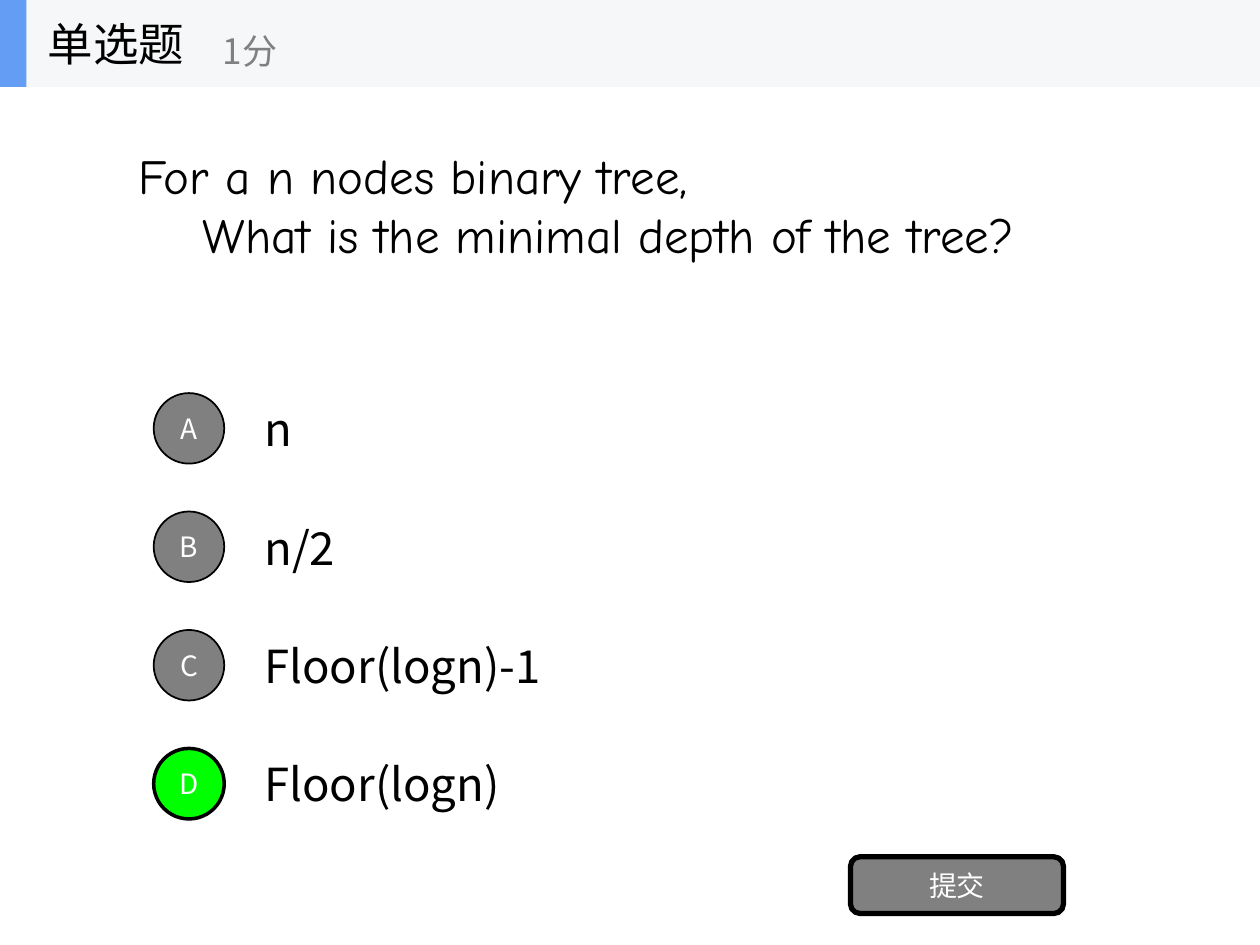
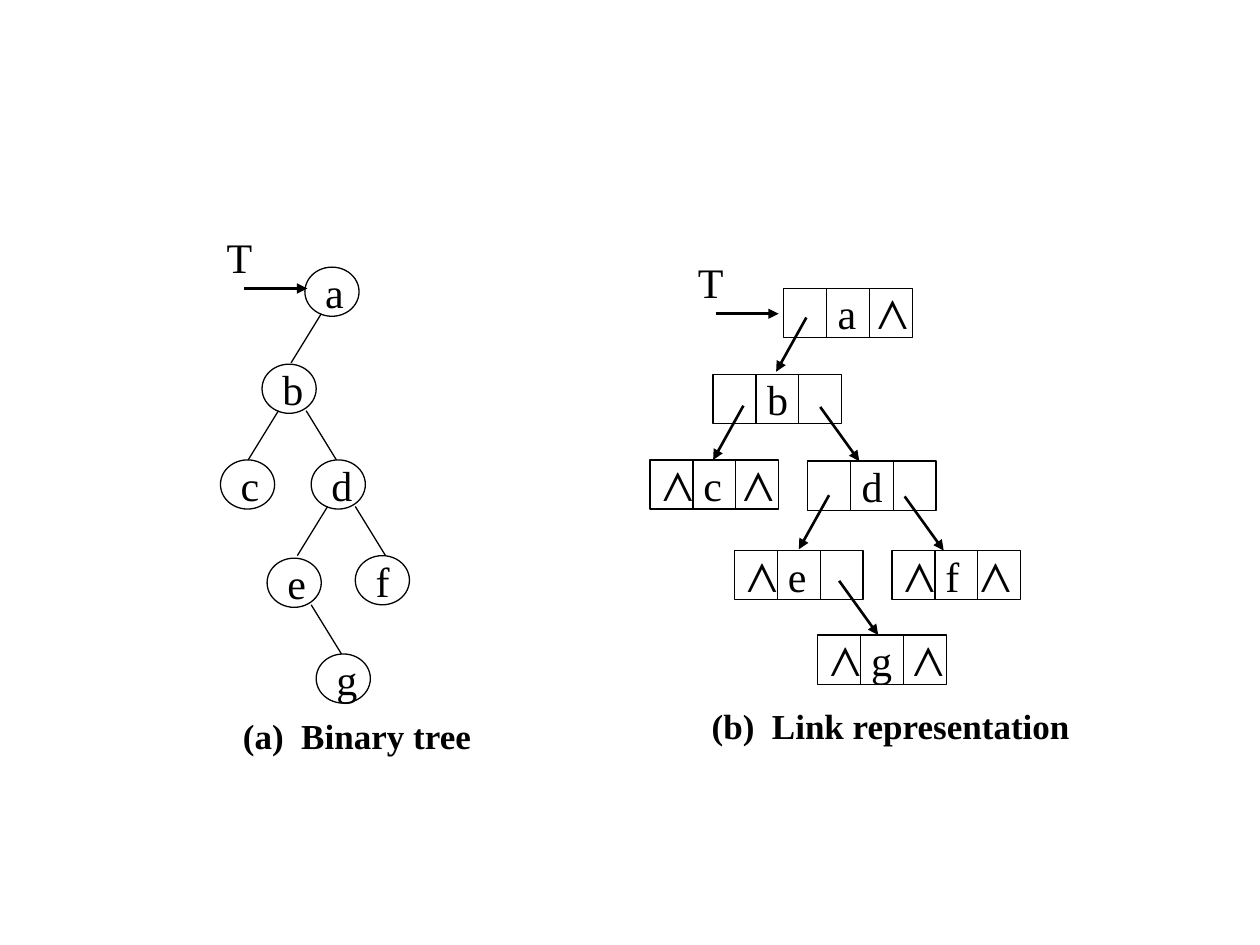
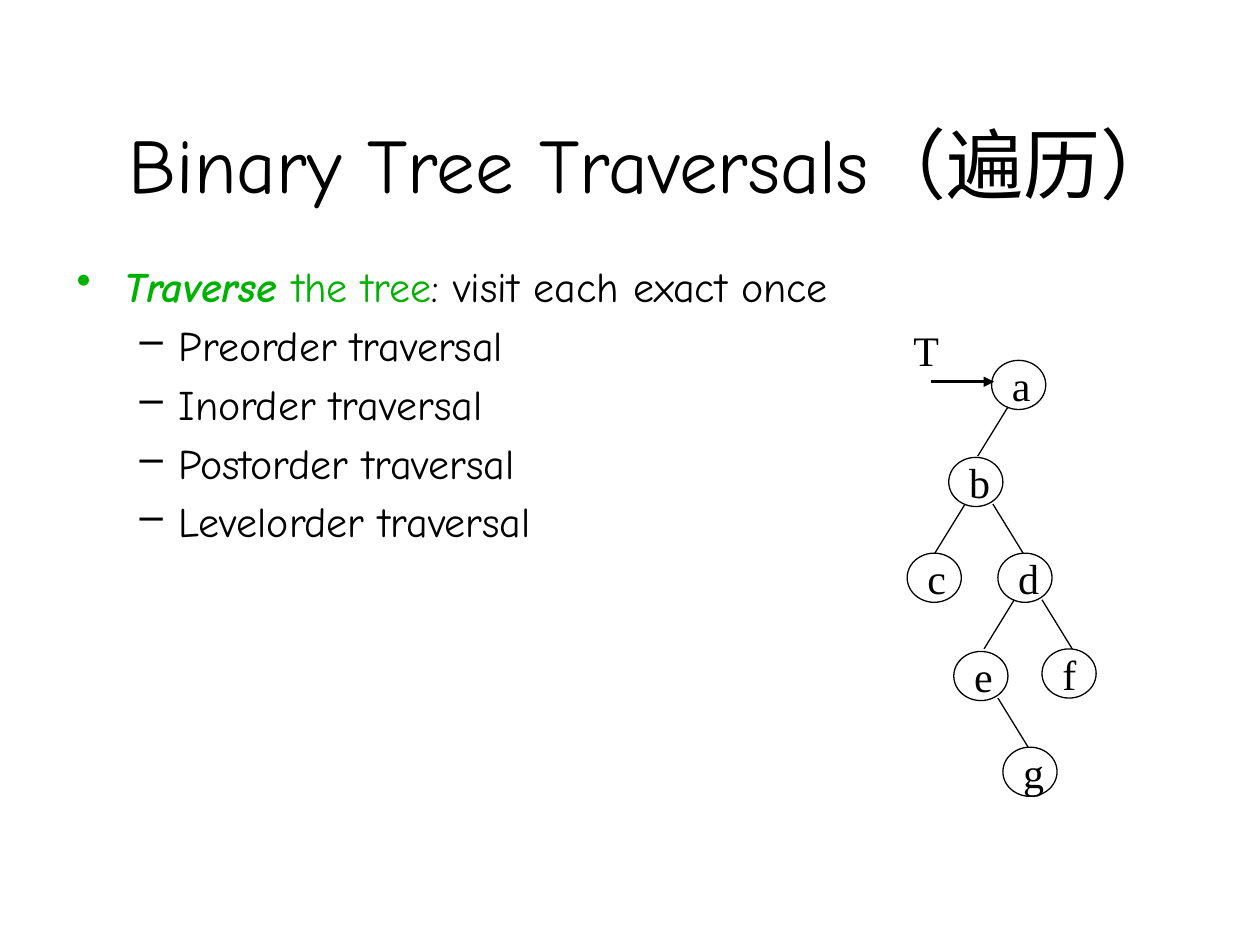
from lxml import etree
from pptx import Presentation
from pptx.dml.color import RGBColor
from pptx.enum.shapes import MSO_CONNECTOR, MSO_SHAPE
from pptx.enum.text import MSO_ANCHOR, MSO_AUTO_SIZE, PP_ALIGN
from pptx.oxml.ns import qn
from pptx.util import Pt

# Shared style
SCALE = 9144  # EMU per px, 100 px to the inch
BLACK = RGBColor(0x00, 0x00, 0x00)
WHITE = RGBColor(0xFF, 0xFF, 0xFF)
GRAY = RGBColor(0x80, 0x80, 0x80)
GREEN = RGBColor(0x00, 0xB2, 0x00)
CORRECT = RGBColor(0x00, 0xFF, 0x00)
BAND = RGBColor(0xF6, 0xF7, 0xF8)
ACCENT = RGBColor(0x63, 0x9E, 0xF4)

LEFT, CENTER = PP_ALIGN.LEFT, PP_ALIGN.CENTER
TOP, MIDDLE = MSO_ANCHOR.TOP, MSO_ANCHOR.MIDDLE
RECTANGLE, ROUNDED = MSO_SHAPE.RECTANGLE, MSO_SHAPE.ROUNDED_RECTANGLE
ELLIPSE = MSO_SHAPE.OVAL
STRAIGHT = MSO_CONNECTOR.STRAIGHT

COMIC, SANS, SERIF = "Comic Neue", "Noto Sans CJK SC", "Times New Roman"
TITLE_FONT = {"name": COMIC, "size": Pt(44)}
QUESTION_FONT = {"name": COMIC, "size": Pt(28)}
BODY_FONT = {"name": COMIC, "size": Pt(24)}
KEYWORD_FONT = {**BODY_FONT, "bold": True, "italic": True}
OPTION_FONT = {"name": SANS, "size": Pt(26)}
SCORE_FONT = {"name": SANS, "size": Pt(20)}
BADGE_FONT = {"name": SANS, "size": Pt(16)}
NODE_FONT = {"name": SERIF, "size": Pt(24)}
CAPTION_FONT = {"name": SERIF, "size": Pt(20), "bold": True}

# Slide content
OPTIONS = ["n", "n/2", "Floor(logn)-1", "Floor(logn)"]
ANSWER = "D"
TRAVERSALS = ["Preorder", "Inorder", "Postorder", "Levelorder"]

# Tree nodes, placed relative to the root
NODES = {"a": (0, 0), "b": (-34, 77), "c": (-67, 153), "d": (5, 153),
         "e": (-30, 231), "f": (40, 229), "g": (9, 307)}
LEFT_PARENTS, RIGHT_PARENTS = "abd", "bde"

# Linked records: left, top, text, indent that stands for a used left field
RECORDS = [(622, 229, "a  ⋀", 33), (566, 297, "b", 33),
           (516, 365, "⋀ c  ⋀", 0), (641, 366, "d", 33),
           (583, 437, "⋀ e", 0), (649, 504, "⋀ g  ⋀", 0),
           (708, 437, "⋀ f  ⋀", 0)]
LEFT_LINKS = [(640, 252), (590, 322), (658, 393)]
RIGHT_LINKS = [(651, 323), (718, 394), (666, 461)]


def px(*lengths):
    return [length * SCALE for length in lengths]


class Deck:
    def __init__(self):
        self.presentation = Presentation()
        width, height = px(1000, 750)
        self.presentation.slide_width = width
        self.presentation.slide_height = height
        self.slide = None

    def add_slide(self, titled):
        layout = self.presentation.slide_layouts[5 if titled else 6]
        self.slide = self.presentation.slides.add_slide(layout)

    def run(self, paragraph, text, font, color=BLACK):
        run = paragraph.add_run()
        run.text = text
        for name, value in font.items():
            setattr(run.font, name, value)
        run.font.color.rgb = color
        if font["name"] != SERIF:
            east_asian = etree.SubElement(run.font._element, qn("a:ea"))
            east_asian.set("typeface", SANS)

    def paragraph(self, frame, runs, align=LEFT, indent=0, hanging=0,
                  bullet=None, level=0, before=0):
        """Fill the first empty paragraph, or add one; runs are (text, font, color)."""
        paragraph = frame.paragraphs[-1]
        if paragraph.runs:
            paragraph = frame.add_paragraph()
        paragraph.alignment = align
        paragraph.level = level
        paragraph.space_before = Pt(before)
        properties = paragraph._p.get_or_add_pPr()
        properties.set("marL", str(indent * SCALE))
        properties.set("indent", str(-hanging * SCALE))
        if bullet:
            etree.SubElement(properties, qn("a:buChar")).set("char", bullet)
        for run in runs:
            self.run(paragraph, *run)

    def frame(self, shape, wrap=True, anchor=MIDDLE):
        frame = shape.text_frame
        settings = {"auto_size": MSO_AUTO_SIZE.NONE, "word_wrap": wrap,
                    "vertical_anchor": anchor}
        for name, value in settings.items():
            setattr(frame, name, value)
        return frame

    def title(self, box):
        title = self.slide.shapes.title
        title.left, title.top, title.width, title.height = px(*box)
        return self.frame(title)

    def text_box(self, box, wrap=True, anchor=MIDDLE):
        return self.frame(self.slide.shapes.add_textbox(*px(*box)), wrap, anchor)

    def label(self, box, text, font, color=BLACK, wrap=False):
        self.paragraph(self.text_box(box, wrap), [(text, font, color)])

    def shape(self, kind, box, fill=None, line=None):
        shape = self.slide.shapes.add_shape(kind, *px(*box))
        shape.shadow.inherit = False
        if fill is None:
            shape.fill.background()
        else:
            shape.fill.solid()
            shape.fill.fore_color.rgb = fill
        if line is None:
            shape.line.fill.background()
        else:
            shape.line.color.rgb = BLACK
            shape.line.width = Pt(line)
        return shape

    def button(self, kind, box, text, fill, line):
        frame = self.frame(self.shape(kind, box, fill, line))
        self.paragraph(frame, [(text, BADGE_FONT, WHITE)], CENTER)

    def outlined(self, kind, box, text, indent=0):
        frame = self.frame(self.shape(kind, box, line=0.75), wrap=False)
        self.paragraph(frame, [(text, NODE_FONT)], indent=indent)

    def line(self, left, top, across, down, arrow=False):
        connector = self.slide.shapes.add_connector(
            STRAIGHT, *px(left, top, left + across, top + down))
        connector.line.color.rgb = BLACK
        connector.line.width = Pt(1.5 if arrow else 0.75)
        if arrow:
            outline = connector.line._get_or_add_ln()
            etree.SubElement(outline, qn("a:tailEnd")).set("type", "triangle")
        etree.SubElement(connector._element.spPr, qn("a:effectLst"))

    def root_pointer(self, left, top):
        self.label((left, top, 39, 35), "T", NODE_FONT)
        self.line(left + 24, top + 43, 50, 0, arrow=True)

    def tree(self, left, top):
        for name, (x, y) in NODES.items():
            self.outlined(ELLIPSE, (left + x, top + y, 43, 39), name)
        for parents, start, across in ((LEFT_PARENTS, 13, -24),
                                       (RIGHT_PARENTS, 35, 24)):
            for parent in parents:
                x, y = NODES[parent]
                self.line(left + x + start, top + y + 37, across, 39)
        self.root_pointer(left - 72, top - 26)

    def record(self, left, top, text, indent):
        width, height = 102, 39
        self.outlined(RECTANGLE, (left, top, width, height), text, indent)
        for field in (1, 2):
            self.line(left + field * width // 3, top, 0, height)


def question_slide(deck):
    deck.add_slide(titled=True)
    # Question
    frame = deck.title((100, 69, 800, 234))
    frame.margin_bottom = 52 * SCALE
    deck.paragraph(frame, [("For a n nodes binary tree,", QUESTION_FONT)])
    deck.paragraph(frame, [("What is the minimal depth of the tree?", QUESTION_FONT)],
                   indent=51)
    # Options
    for row, (letter, text) in enumerate(zip("ABCD", OPTIONS)):
        top = 305 + row * 94
        correct = letter == ANSWER
        deck.label((200, top, 700, 70), text, OPTION_FONT, wrap=True)
        deck.button(ELLIPSE, (122, top + 7, 56, 56), letter,
                    CORRECT if correct else GRAY, 2 if correct else 1)
    deck.button(ROUNDED, (675, 680, 169, 45), "提交", GRAY, 3)
    # Header band
    deck.shape(RECTANGLE, (0, 0, 1000, 69), BAND)
    deck.shape(RECTANGLE, (0, 0, 21, 69), ACCENT)
    deck.label((28, 0, 208, 69), "单选题", OPTION_FONT)
    deck.label((167, 12, 250, 56), "1分", SCORE_FONT, GRAY)


def representation_slide(deck):
    deck.add_slide(titled=False)
    # Binary tree
    deck.tree(242, 212)
    deck.label((183, 564, 150, 39), "(a)  Binary tree", CAPTION_FONT)
    # Linked records
    for record in RECORDS:
        deck.record(*record)
    for links, across in ((LEFT_LINKS, -24), (RIGHT_LINKS, 31)):
        for x, y in links:
            deck.line(x, y, across, 43, arrow=True)
    deck.root_pointer(544, 206)
    deck.label((555, 556, 174, 39), "(b)  Link representation", CAPTION_FONT)


def traversal_slide(deck):
    deck.add_slide(titled=True)
    frame = deck.title((35, 67, 967, 125))
    deck.paragraph(frame, [("Binary Tree Traversals（遍历）", TITLE_FONT)], CENTER)
    # Bulleted list
    body = deck.text_box((51, 202, 859, 450), anchor=TOP)
    deck.paragraph(body, [("Traverse ", KEYWORD_FONT, GREEN),
                          ("the tree", BODY_FONT, GREEN),
                          (": visit each exact once", BODY_FONT)],
                   indent=38, hanging=38, bullet="•", before=4.8)
    for order in TRAVERSALS:
        deck.paragraph(body, [(f"{order} traversal", BODY_FONT)], indent=81,
                       hanging=31, bullet="–", level=1, before=4.8)
    deck.tree(787, 286)


def main():
    deck = Deck()
    question_slide(deck)
    representation_slide(deck)
    traversal_slide(deck)
    deck.presentation.save("out.pptx")


if __name__ == "__main__":
    main()
